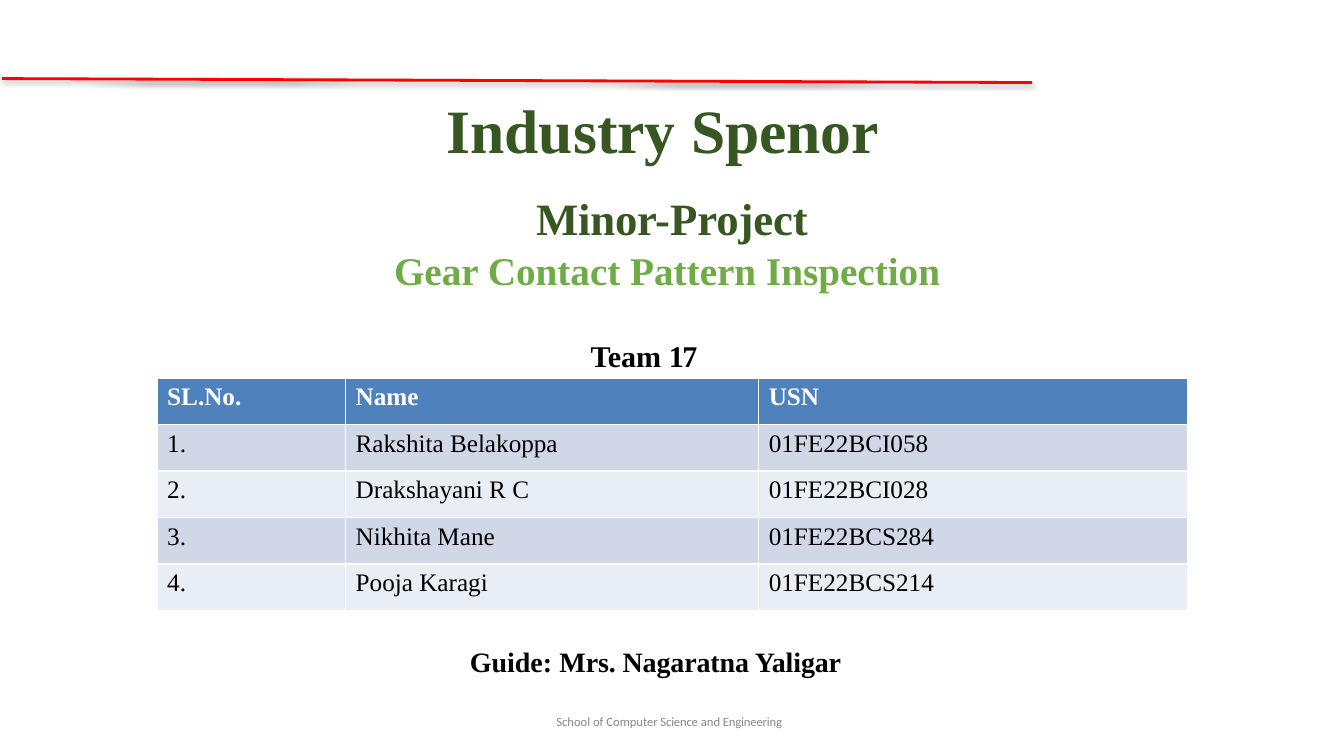
from dataclasses import dataclass

from lxml.etree import SubElement
from pptx import Presentation
from pptx.dml.color import RGBColor
from pptx.enum.shapes import MSO_CONNECTOR
from pptx.enum.text import MSO_AUTO_SIZE, PP_ALIGN
from pptx.oxml.ns import qn
from pptx.slide import Slide
from pptx.util import Cm, Pt

HUES = {
    "dark": "385622", "green": "6FAC46", "black": "000000", "grey": "888888",
    "white": "FFFFFF", "head": "4F81BD", "odd": "D0D8E8", "even": "E9EDF4",
    "red": "FF0000",
}
SERIF = "Times New Roman"


@dataclass
class Line:
    runs: list[tuple[str, float]]
    size: float
    hue: str
    gap: float
    bold: bool = True
    face: str = SERIF


@dataclass
class Box:
    left: float
    top: float
    width: float
    height: float
    lines: list[Line]
    align: PP_ALIGN = PP_ALIGN.LEFT
    inset: float = 0.05


BOXES = [
    Box(14.02, 17.96, 5.82, 0.41, [
        Line([("School of Computer", 0), (" Science", -0.1), (" and ", 0),
              ("Engineering", -0.1)], 9, "grey", 0.6, False, "Calibri"),
    ], inset=0.03),
    Box(11.84, 16.18, 10.26, 0.89, [
        Line([("Guide: ", 0), ("Mrs. Nagaratna Yaligar", -0.1)],
             20, "black", 1.3),
    ]),
    Box(11.25, 2.26, 11.38, 1.93, [
        Line([("Industry ", 0), ("Spenor", -0.1)], 44, "dark", 1.3),
    ]),
    Box(8.86, 4.75, 16.15, 2.8, [
        Line([("Minor-", -0.2), ("Project", -0.1)], 32, "dark", 1.2),
        Line([("Gear Contact Pattern Inspection ", 0)], 28, "green", 1.2),
    ], PP_ALIGN.CENTER),
    Box(13.69, 8.46, 5.08, 0.92, [
        Line([("Team ", 0), ("17", -1.1)], 21.5, "black", 0),
    ], PP_ALIGN.CENTER),
]

COLS = [4.75, 10.41, 10.8]
ROW = 1.17
TEAM = [
    ("SL.No.", "Name", "USN"),
    ("1.", "Rakshita Belakoppa", "01FE22BCI058"),
    ("2.", "Drakshayani R C", "01FE22BCI028"),
    ("3.", "Nikhita Mane", "01FE22BCS284"),
    ("4.", "Pooja Karagi", "01FE22BCS214"),
]


def tint(name: str) -> RGBColor:
    return RGBColor.from_string(HUES[name])


def style(font, size: float, hue: str, bold: bool, face: str) -> None:
    for key, value in {"size": Pt(size), "bold": bold, "name": face}.items():
        setattr(font, key, value)
    font.color.rgb = tint(hue)


def write(slide: Slide, box: Box) -> None:
    area = (box.left, box.top, box.width, box.height)
    frame = slide.shapes.add_textbox(*map(Cm, area)).text_frame
    form = {
        "word_wrap": True, "auto_size": MSO_AUTO_SIZE.SHAPE_TO_FIT_TEXT,
        "margin_left": 0, "margin_right": 0, "margin_bottom": 0,
        "margin_top": Cm(box.inset),
    }
    for key, value in form.items():
        setattr(frame, key, value)
    for i, line in enumerate(box.lines):
        para = frame.add_paragraph() if i else frame.paragraphs[0]
        para.alignment = box.align
        para.space_before = Pt(line.gap)
        for text, space in line.runs:
            run = para.add_run()
            run.text = text
            style(run.font, line.size, line.hue, line.bold, line.face)
            if space:
                run.font._element.set("spc", str(round(space * 100)))


def tabulate(slide: Slide) -> None:
    table = slide.shapes.add_table(
        len(TEAM), len(COLS), Cm(3.96), Cm(9.53),
        Cm(sum(COLS)), Cm(ROW * len(TEAM))).table
    for col, width in zip(table.columns, COLS):
        col.width = Cm(width)
    for i, row in enumerate(TEAM):
        table.rows[i].height = Cm(ROW)
        shade = ("odd" if i % 2 else "even") if i else "head"
        for j, text in enumerate(row):
            cell = table.cell(i, j)
            cell.fill.solid()
            cell.fill.fore_color.rgb = tint(shade)
            run = cell.text_frame.paragraphs[0].add_run()
            run.text = text
            style(run.font, 18, "black" if i else "white", i == 0, SERIF)


def rule(slide: Slide) -> None:
    line = slide.shapes.add_connector(
        MSO_CONNECTOR.STRAIGHT, Cm(0.05), Cm(1.98), Cm(26.01), Cm(2.08))
    line.line.width = Pt(2)
    line.line.color.rgb = tint("red")
    glow = SubElement(line._element.spPr, qn("a:effectLst"))
    shade = SubElement(glow, qn("a:outerShdw"), {
        "blurRad": str(Pt(3.1)), "dist": str(Pt(1.6)),
        "dir": "5400000", "rotWithShape": "0"})
    black = SubElement(shade, qn("a:srgbClr"), val=HUES["black"])
    SubElement(black, qn("a:alpha"), val="38000")


def main() -> None:
    deck = Presentation()
    deck.slide_width, deck.slide_height = Cm(33.87), Cm(19.05)
    slide = deck.slides.add_slide(deck.slide_layouts[6])
    for box in BOXES:
        write(slide, box)
    tabulate(slide)
    rule(slide)
    deck.save("out.pptx")


if __name__ == "__main__":
    main()
